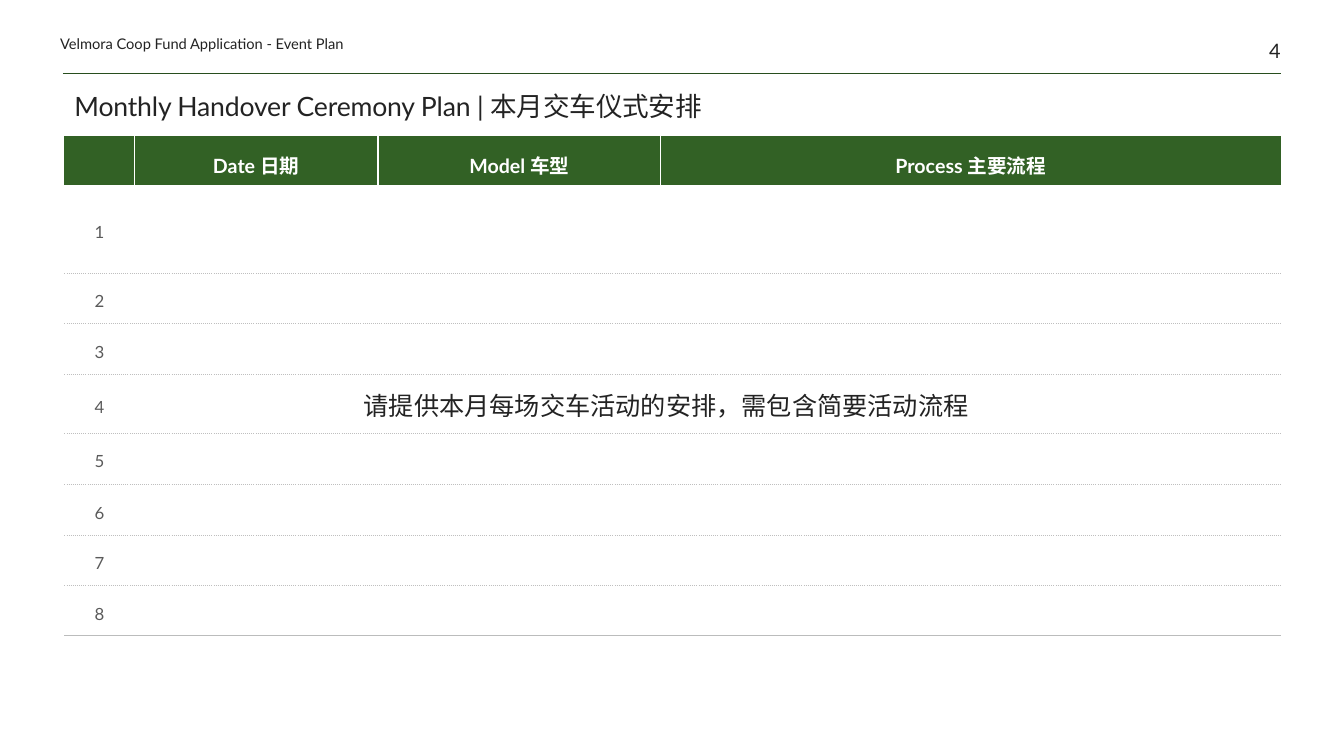
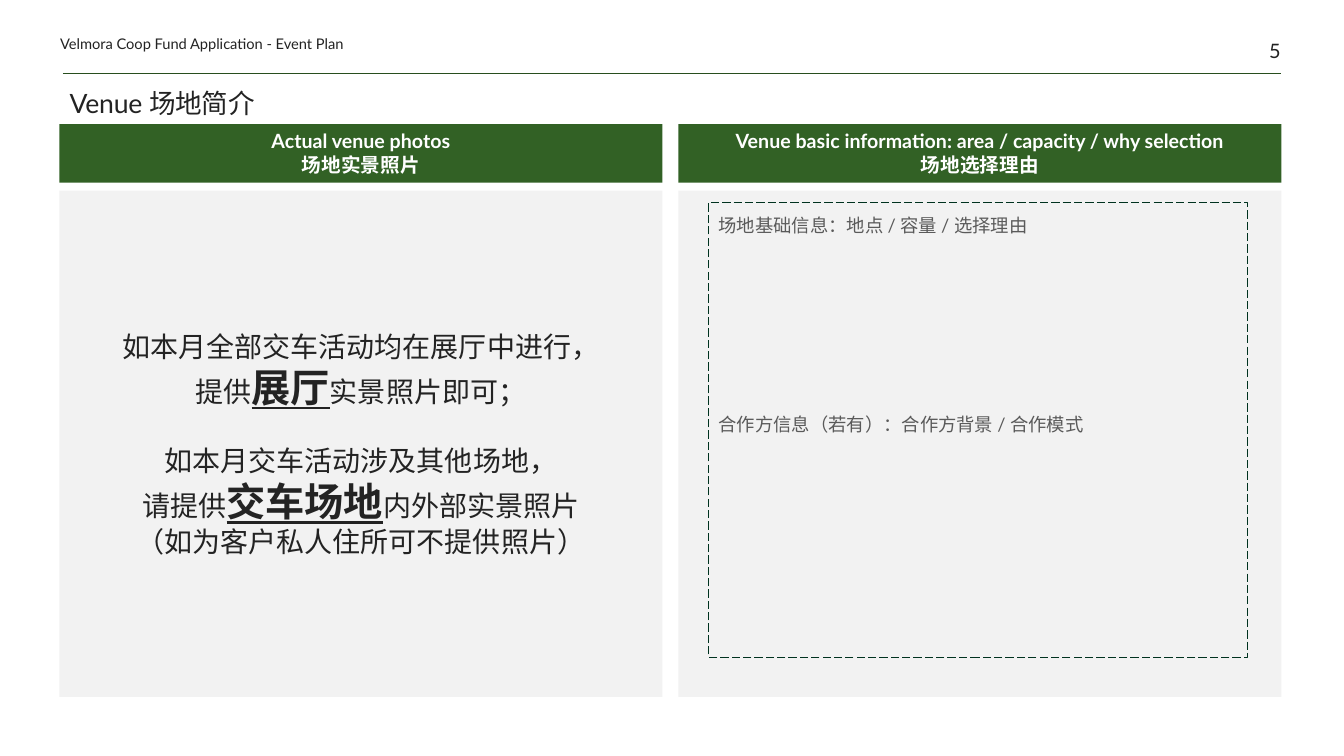
"""Build the event plan slides: monthly ceremony table and venue overview."""
from lxml import etree
from pptx import Presentation
from pptx.dml.color import RGBColor
from pptx.enum.dml import MSO_LINE
from pptx.enum.shapes import MSO_CONNECTOR, MSO_SHAPE
from pptx.enum.text import MSO_ANCHOR, MSO_AUTO_SIZE, PP_ALIGN
from pptx.oxml.ns import qn
from pptx.util import Pt

LEFT, CENTER, RIGHT = PP_ALIGN.LEFT, PP_ALIGN.CENTER, PP_ALIGN.RIGHT
TOP, MIDDLE, BOTTOM = MSO_ANCHOR.TOP, MSO_ANCHOR.MIDDLE, MSO_ANCHOR.BOTTOM
RECT, STRAIGHT = MSO_SHAPE.RECTANGLE, MSO_CONNECTOR.STRAIGHT
LONG_DASH = MSO_LINE.LONG_DASH
NO_AUTOFIT = MSO_AUTO_SIZE.NONE

FONT = "Lato"
INK = RGBColor(0x23, 0x23, 0x23)
GRAY = RGBColor(0x5A, 0x5A, 0x5A)
WHITE = RGBColor(0xFF, 0xFF, 0xFF)
GREEN = RGBColor(0x32, 0x61, 0x25)
RULE = RGBColor(0x28, 0x4E, 0x1E)
FRAME = RGBColor(0x00, 0x32, 0x1F)
PANEL = RGBColor(0xF2, 0xF2, 0xF2)
DOTS = RGBColor(0xBF, 0xBF, 0xBF)
CLOSING = RGBColor(0xBB, 0xBC, 0xBC)

NO_STYLE = "{2D5ABB26-0587-4C30-8999-92F81FD0307C}"
FLUSH = dict.fromkeys(
    ("margin_left", "margin_top", "margin_right", "margin_bottom"), 0)
TITLE = {"size": Pt(19)}
HEAD = {"size": Pt(14), "bold": True}
BODY = {"size": Pt(20)}
STRONG = {"size": Pt(28), "bold": True, "underline": True}


def style(obj, values):
    for name, value in values.items():
        setattr(obj, name, value)


def write(tf, paragraphs, font, color=INK, align=LEFT, frame=None, **spacing):
    style(tf, frame or {})
    for i, runs in enumerate(paragraphs):
        p = tf.add_paragraph() if i else tf.paragraphs[0]
        style(p, {"alignment": align, **spacing})
        for text, extra in [(runs, {})] if isinstance(runs, str) else runs:
            r = p.add_run()
            r.text = text
            style(r.font, {"name": FONT, **font, **extra})
            r.font.color.rgb = color


prs = Presentation()
prs.slide_width, prs.slide_height = Pt(960), Pt(540)

pages = [
    ("4", "Monthly Handover Ceremony Plan | 本月交车仪式安排", (46, 53.3, 869, 37.4)),
    ("5", "Venue 场地简介", (42.5, 53.3, 872.5, 35.3)),
]
for number, title, box in pages:
    s = prs.slides.add_slide(prs.slide_layouts[5])
    sp = s.shapes.title
    style(sp, dict(zip(("left", "top", "width", "height"), map(Pt, box))))
    write(sp.text_frame, [title], TITLE, line_spacing=0.85,
          frame={"word_wrap": True, "auto_size": NO_AUTOFIT,
                 "vertical_anchor": BOTTOM})
    for rpr in sp.element.iter(qn("a:rPr")):
        rpr.set("spc", "-10")

    line = s.shapes.add_connector(STRAIGHT, Pt(45), Pt(52.6), Pt(915), Pt(52.6))
    line.line.color.rgb = RULE
    line.line.width = Pt(0.5)
    etree.SubElement(line.element.spPr, qn("a:effectLst"))

    for text, size, align, box in [
        (number, 14.2, RIGHT, (854.8, 0, 60, 44.6)),
        ("Velmora Coop Fund Application - Event Plan", 10.5, LEFT,
         (43, 21, 300, 16.6)),
    ]:
        sp = s.shapes.add_textbox(*map(Pt, box))
        write(sp.text_frame, [text], {"size": Pt(size)}, align=align,
              frame={**FLUSH, "word_wrap": True, "vertical_anchor": BOTTOM})

plan, venue = prs.slides

columns = [50, 174, 202, 443]
rows = [35, 63, 36, 36, 42, 36.5, 36.5, 36, 36]
headings = ["", "Date 日期", "Model 车型", "Process 主要流程"]
gf = plan.shapes.add_table(len(rows), len(columns), Pt(46), Pt(97.2),
                           Pt(sum(columns)), Pt(sum(rows)))
table = gf.table
style(table, {"first_row": False, "horz_banding": False})
next(gf.element.iter(qn("a:tableStyleId"))).text = NO_STYLE
for column, width in zip(table.columns, columns):
    column.width = Pt(width)
for row, height in zip(table.rows, rows):
    row.height = Pt(height)

for i in range(len(rows)):
    for j, heading in enumerate(headings):
        cell = table.cell(i, j)
        borders = []
        if i == 0:
            if j in (1, 2):
                borders.append(("a:lnL", WHITE, 1, "solid"))
            if j in (0, 1):
                borders.append(("a:lnR", WHITE, 1, "solid"))
        else:
            if i > 1:
                borders.append(("a:lnT", DOTS, 0.25, "sysDot"))
            if i == len(rows) - 1:
                borders.append(("a:lnB", CLOSING, 0.5, "solid"))
            else:
                borders.append(("a:lnB", DOTS, 0.25, "sysDot"))
        tcpr = cell._tc.get_or_add_tcPr()
        for tag, color, width, dash in borders:
            ln = etree.SubElement(tcpr, qn(tag), w=str(Pt(width)))
            fill = etree.SubElement(ln, qn("a:solidFill"))
            etree.SubElement(fill, qn("a:srgbClr"), val=str(color))
            etree.SubElement(ln, qn("a:prstDash"), val=dash)
        if i == 0:
            cell.fill.solid()
            cell.fill.fore_color.rgb = GREEN
            text, font, color, pad = heading, HEAD, WHITE, 4.3
        else:
            cell.fill.background()
            text = "" if j else str(i)
            font, color, pad = {"size": Pt(12)}, GRAY, 8.6
        if text:
            style(cell, {"vertical_anchor": MIDDLE,
                         "margin_left": Pt(8.6), "margin_right": Pt(8.6),
                         "margin_top": Pt(pad), "margin_bottom": Pt(pad)})
            write(cell.text_frame, [text], font, color, CENTER, line_spacing=1.3)

sp = plan.shapes.add_textbox(Pt(252.7), Pt(275), Pt(450.7), Pt(29))
write(sp.text_frame, ["请提供本月每场交车活动的安排，需包含简要活动流程"],
      {"size": Pt(18)}, frame={"word_wrap": False})

photo_notes = [
    "如本月全部交车活动均在展厅中进行，",
    [("提供", {}), ("展厅", STRONG), ("实景照片即可；", {})],
    "如本月交车活动涉及其他场地，",
    [("请提供", {}), ("交车场地", STRONG), ("内外部实景照片", {})],
    "（如为客户私人住所可不提供照片）",
]
info_notes = ["场地基础信息：地点 / 容量 / 选择理由",
              "合作方信息（若有）：合作方背景 / 合作模式"]
panels = [
    (42.5, ["Actual venue photos", "场地实景照片"], photo_notes),
    (484.6, ["Venue basic information: area / capacity / why selection",
             "场地选择理由"], []),
]
for left, heading, notes in panels:
    for top, height, fill, text, font, color, anchor in [
        (88.6, 41.8, GREEN, heading, HEAD, WHITE, TOP),
        (136.2, 361.6, PANEL, notes, BODY, INK, MIDDLE),
    ]:
        sp = venue.shapes.add_shape(RECT, Pt(left), Pt(top), Pt(430.6), Pt(height))
        sp.shadow.inherit = False
        sp.fill.solid()
        sp.fill.fore_color.rgb = fill
        sp.line.fill.background()
        write(sp.text_frame, text, font, color, CENTER,
              frame={"word_wrap": True, "vertical_anchor": anchor})
        if text is photo_notes:
            sp.text_frame.paragraphs[2].space_before = Pt(24)

sp = venue.shapes.add_shape(RECT, Pt(506.2), Pt(144.7), Pt(385.2), Pt(324.7))
sp.shadow.inherit = False
sp.fill.background()
sp.line.color.rgb = FRAME
sp.line.width = Pt(0.75)
sp.line.dash_style = LONG_DASH
tf = sp.text_frame
write(tf, info_notes, {"size": Pt(13.1)}, GRAY, line_spacing=1.3,
      frame={"word_wrap": True, "vertical_anchor": TOP})
tf.paragraphs[1].space_before = Pt(122)

prs.save("out.pptx")
